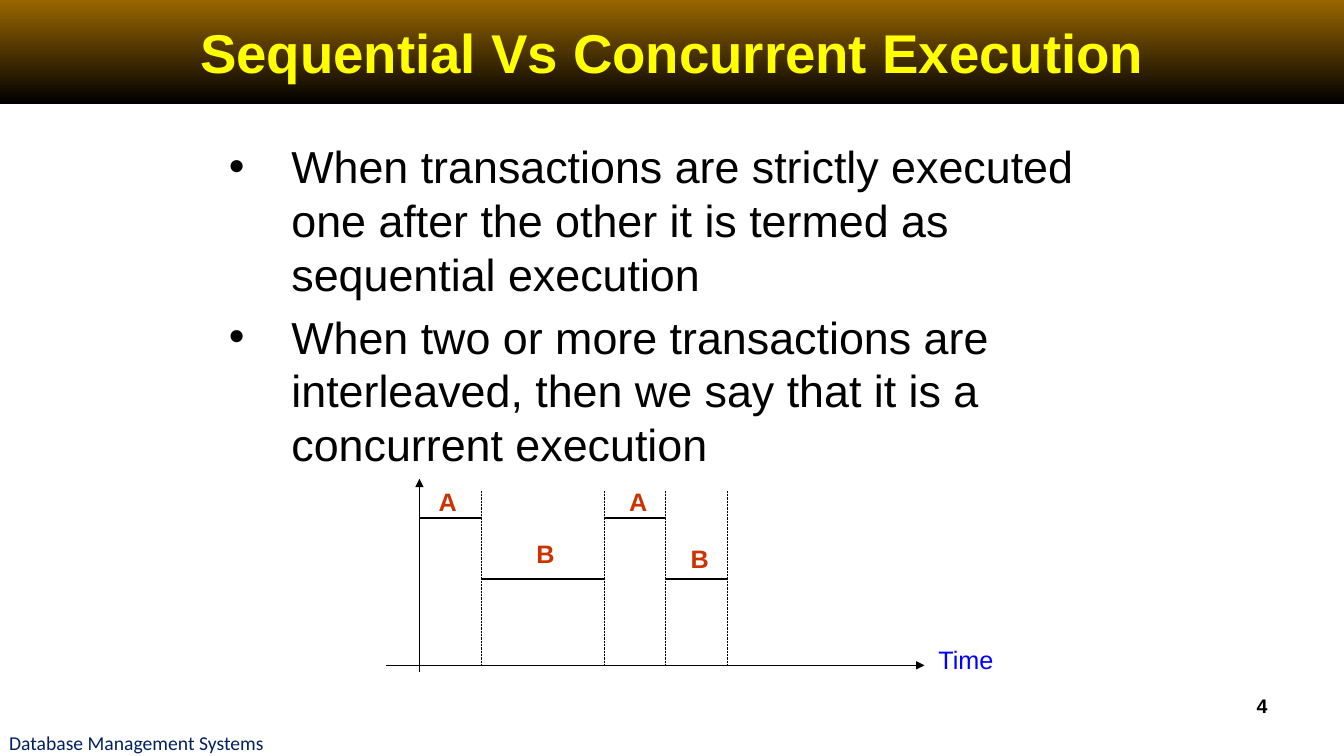
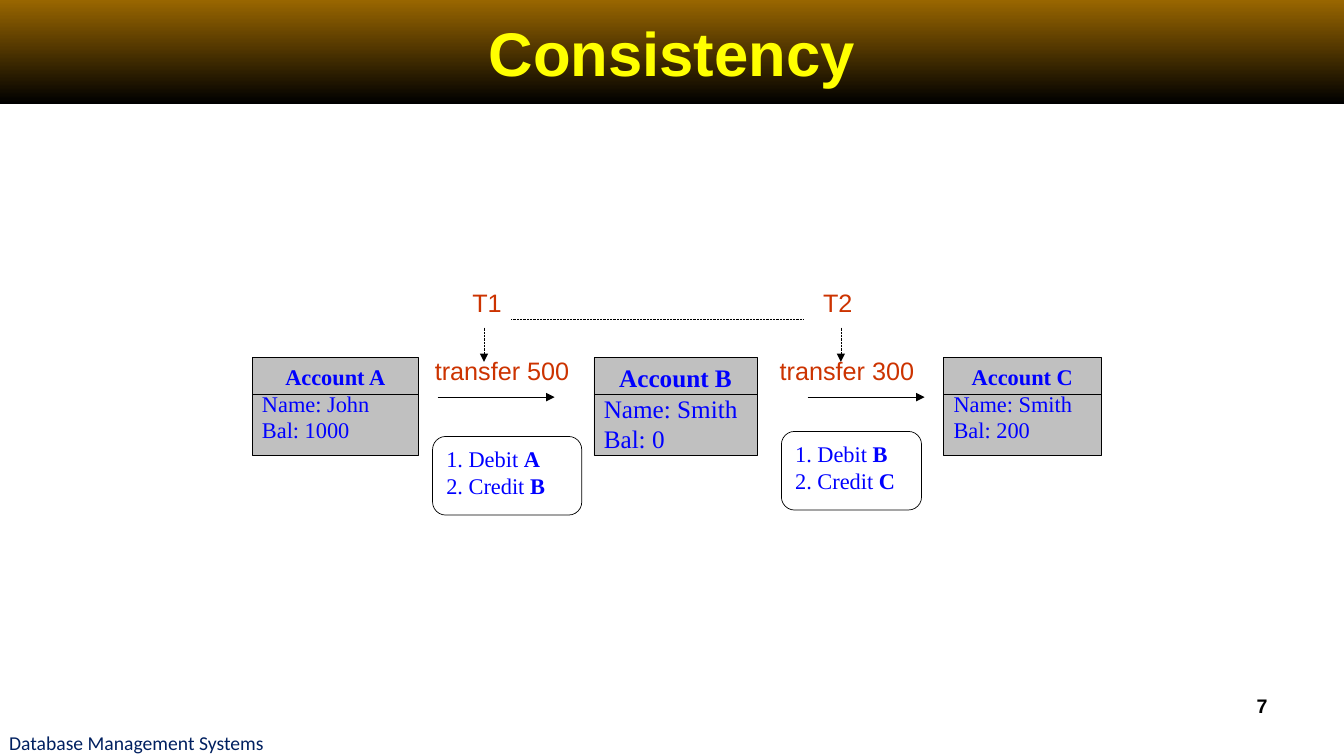
"""Build two lecture slides on database transactions."""
from pptx import Presentation
from pptx.dml.color import RGBColor
from pptx.enum.dml import MSO_LINE
from pptx.enum.shapes import MSO_CONNECTOR, MSO_SHAPE
from pptx.enum.text import MSO_ANCHOR, MSO_AUTO_SIZE, PP_ALIGN
from pptx.oxml.ns import qn
from pptx.oxml.xmlchemy import OxmlElement
from pptx.util import Pt

PX = 9144
WIDE, HIGH = 1333, 750
BAND = 103

BLACK = RGBColor(0x00, 0x00, 0x00)
BROWN = RGBColor(0x99, 0x66, 0x00)
YELLOW = RGBColor(0xFF, 0xFF, 0x00)
NAVY = RGBColor(0x00, 0x20, 0x60)
BLUE = RGBColor(0x00, 0x00, 0xFF)
RED = RGBColor(0xCC, 0x33, 0x00)
GREY = RGBColor(0xC0, 0xC0, 0xC0)

SANS, SERIF, PLAIN = "Arial", "Times New Roman", "Calibri"

LEFT, CENTER, RIGHT = PP_ALIGN.LEFT, PP_ALIGN.CENTER, PP_ALIGN.RIGHT
TOP, MIDDLE = MSO_ANCHOR.TOP, MSO_ANCHOR.MIDDLE
FIXED = MSO_AUTO_SIZE.NONE
RECT, ROUND = MSO_SHAPE.RECTANGLE, MSO_SHAPE.ROUNDED_RECTANGLE
STRAIGHT = MSO_CONNECTOR.STRAIGHT
DOTS = MSO_LINE.ROUND_DOT


def scale(*sizes):
    return [size * PX for size in sizes]


def style(runs, size, color, face=SANS, bold=False):
    for run in runs:
        font = run.font
        font.size, font.name, font.bold = Pt(size), face, bold
        font.color.rgb = color


def place(shape, box):
    shape.left, shape.top, shape.width, shape.height = scale(*box)


def add_text(slide, box, text, size, color, face=SANS, bold=False,
             align=CENTER, anchor=MIDDLE, inset=True):
    frame = slide.shapes.add_textbox(*scale(*box)).text_frame
    frame.word_wrap = True
    frame.vertical_anchor = anchor
    if not inset:
        frame.margin_left = frame.margin_right = 0
        frame.margin_top = frame.margin_bottom = 0
    frame.text = text
    line = frame.paragraphs[0]
    line.alignment = align
    style(line.runs, size, color, face, bold)


def add_label(slide, mid, y, text, color=RED, bold=False):
    """Centre a short label on a point."""
    add_text(slide, (mid - 80, y - 21, 160, 42), text, 18, color, bold=bold)


def add_line(slide, start, end, width=0.5, dots=False, arrow=False):
    link = slide.shapes.add_connector(STRAIGHT, *scale(*start, *end))
    link.line.color.rgb = BLACK
    link.line.width = Pt(width)
    if dots:
        link.line.dash_style = DOTS
    props = link.element.spPr
    if arrow:
        tip = OxmlElement("a:tailEnd")
        tip.set("type", "triangle")
        props.find(qn("a:ln")).append(tip)
    props.append(OxmlElement("a:effectLst"))


def add_box(slide, kind, box, fill=None):
    """Add an outlined box and return its text frame."""
    shape = slide.shapes.add_shape(kind, *scale(*box))
    shape.shadow.inherit = False
    if fill is None:
        shape.fill.background()
    else:
        shape.fill.solid()
        shape.fill.fore_color.rgb = fill
    shape.line.color.rgb = BLACK
    shape.line.width = Pt(0.5)
    frame = shape.text_frame
    frame.vertical_anchor = TOP
    return frame


def add_card(slide, x, width, size, name, owner, funds):
    """Add an account record with a ruled heading."""
    top = 355
    frame = add_box(slide, RECT, (x, top, width, 97), GREY)
    frame.text = f"Account {name}\nName: {owner}\nBal: {funds}"
    for row, line in enumerate(frame.paragraphs):
        line.alignment = LEFT if row else CENTER
        style(line.runs, size, BLUE, SERIF, row == 0)
    add_line(slide, (x, top + 36), (x + width, top + 36))


def add_steps(slide, box, debit, credit):
    """Add the two steps of a transfer."""
    frame = add_box(slide, ROUND, box)
    frame.text = "1. Debit \n2. Credit "
    for line, name in zip(frame.paragraphs, (debit, credit)):
        line.alignment = LEFT
        style(line.runs, 16, BLUE, SERIF)
        run = line.add_run()
        run.text = name
        style([run], 16, BLUE, SERIF, True)


def add_slide(deck, layout, title, size, number):
    """Add a slide with the title band and the footer."""
    slide = deck.slides.add_slide(deck.slide_layouts[layout])
    band = slide.shapes.title
    place(band, (0, 0, WIDE, BAND))
    band.fill.gradient()
    band.fill.gradient_angle = 270
    for stop, color in zip(band.fill.gradient_stops, (BROWN, BLACK)):
        stop.color.rgb = color
    frame = band.text_frame
    frame.auto_size = FIXED
    frame.vertical_anchor = MIDDLE
    frame.text = title
    frame.paragraphs[0].alignment = CENTER
    style(frame.paragraphs[0].runs, size, YELLOW, bold=True)
    add_text(slide, (9, 723, 496, 27), "Database Management Systems", 14,
             NAVY, PLAIN, align=LEFT, inset=False)
    add_text(slide, (956, 683, 311, 52), str(number), 14, BLACK, bold=True,
             align=RIGHT, anchor=TOP)
    return slide


def fill_body(slide, items):
    body = slide.placeholders[1]
    place(body, (217, 133, 900, 575))
    frame = body.text_frame
    frame.auto_size = FIXED
    frame.text = "\n".join(items)
    for line in frame.paragraphs:
        line.space_before = Pt(6.4)
        props = line._p.get_or_add_pPr()
        props.set("marL", str(62 * PX))
        props.set("indent", str(-62 * PX))
        style(line.runs, 32, BLACK)


def draw_chart(slide):
    """Draw the interleaved run of A and B over time."""
    left, unit, base = 416, 61, 660
    add_line(slide, (left, 667), (left, 475), arrow=True)
    add_line(slide, (383, base), (917, base), arrow=True)
    add_label(slide, 958, 654, "Time", BLUE)
    turns = (("A", 0, 1, 514, 444, 497), ("B", 1, 3, 574, 541, 549),
             ("A", 3, 4, 514, 633, 497), ("B", 4, 5, 574, 694, 554))
    for name, start, end, level, mid, y in turns:
        stop = left + unit * end
        add_line(slide, (left + unit * start, level), (stop, level), 1.5)
        add_line(slide, (stop, 487), (stop, base), dots=True)
        add_label(slide, mid, y, name, bold=True)


def draw_flow(slide):
    """Draw the accounts and the transfers between them."""
    cards = ((250, 165, 16, "A", "John", 1000),
             (589, 162, 18, "B", "Smith", 0),
             (936, 156, 16, "C", "Smith", 200))
    for card in cards:
        add_card(slide, *card)
    moves = (("T1", 483, 480, 498, 500, 434, (429, 433, 148, 78), "AB"),
             ("T2", 831, 834, 840, 300, 801, (775, 428, 139, 78), "BC"))
    for name, mid, drop, center, funds, start, box, pair in moves:
        add_label(slide, mid, 300, name)
        add_line(slide, (drop, 325), (drop, 359), dots=True, arrow=True)
        add_label(slide, center, 367, f"transfer {funds}")
        add_line(slide, (start, 394), (start + 116, 394), arrow=True)
        add_steps(slide, box, *pair)
    add_line(slide, (507, 317), (797, 317), dots=True)


def main():
    deck = Presentation()
    deck.slide_width, deck.slide_height = scale(WIDE, HIGH)
    first = add_slide(deck, 1, "Sequential Vs Concurrent Execution", 39, 4)
    fill_body(first, (
        "When transactions are strictly executed one after the other "
        "it is termed as sequential execution",
        "When two or more transactions are interleaved, "
        "then we say that it is a concurrent execution"))
    draw_chart(first)
    draw_flow(add_slide(deck, 5, "Consistency", 44, 7))
    deck.save("out.pptx")


if __name__ == "__main__":
    main()
